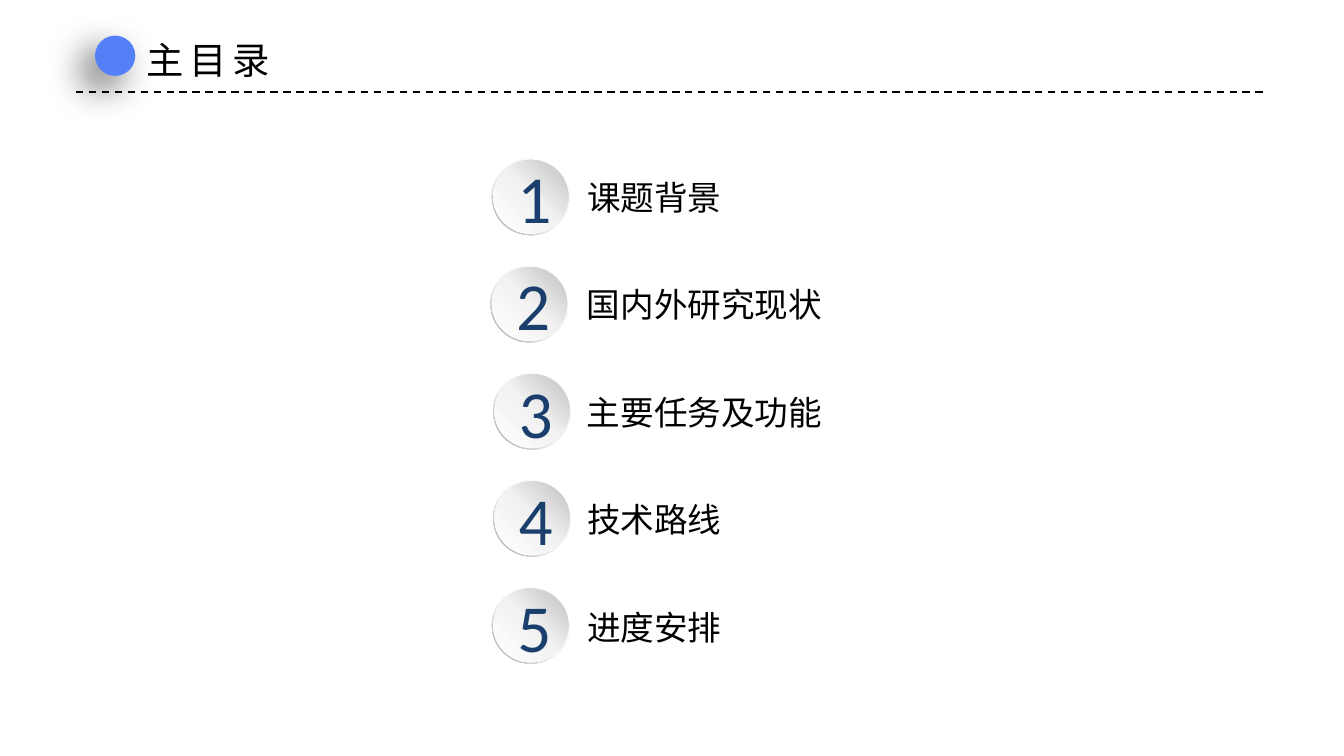
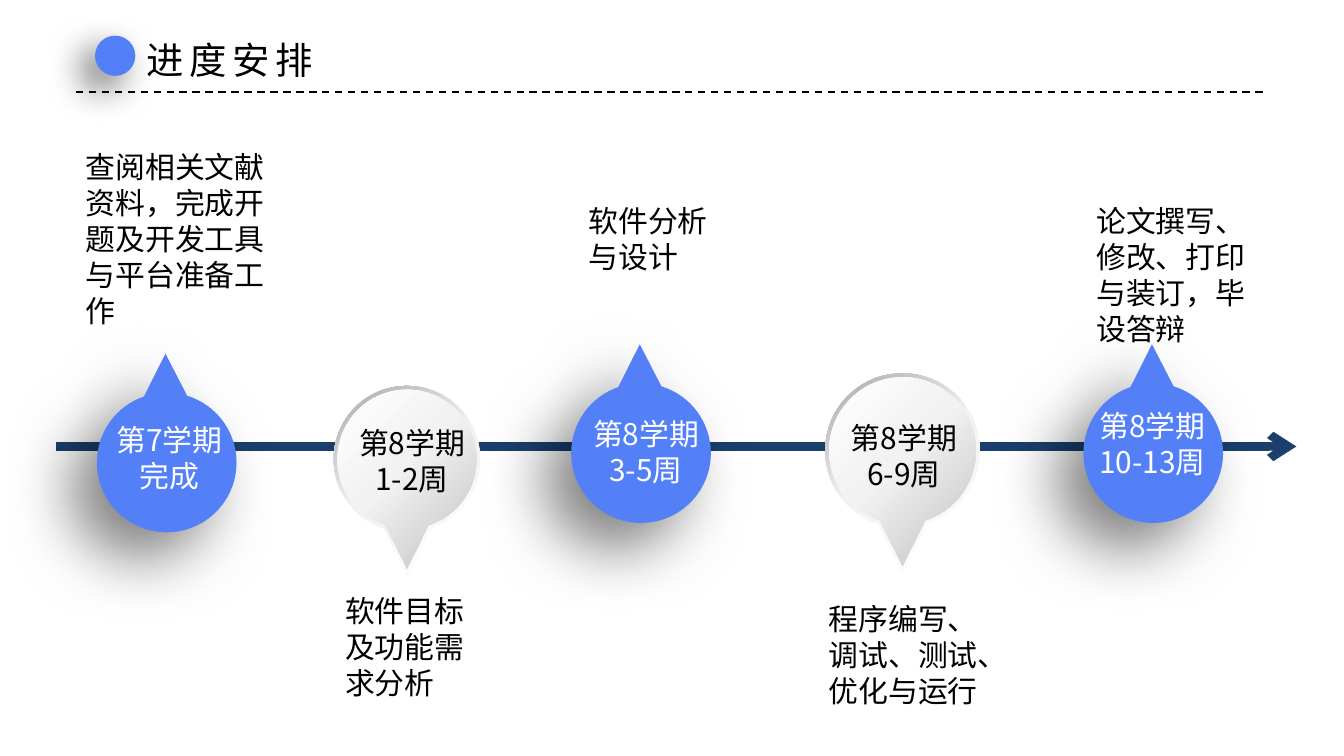
from dataclasses import dataclass
from math import cos, radians, sin, tan

from lxml.etree import Element, SubElement
from pptx import Presentation
from pptx.dml.color import RGBColor
from pptx.enum.dml import MSO_LINE
from pptx.enum.shapes import MSO_CONNECTOR, MSO_SHAPE
from pptx.enum.text import MSO_ANCHOR, MSO_AUTO_SIZE, PP_ALIGN
from pptx.oxml.ns import qn
from pptx.util import Pt


@dataclass(frozen=True)
class Theme:
    blue: str = "5380F7"
    navy: str = "1A3F6C"
    black: str = "000000"
    white: str = "FFFFFF"
    cjk: str = "Noto Sans CJK SC"
    latin: str = "Calibri"
    title: int = 20
    agenda: int = 18
    body: int = 16
    number: int = 36
    rim: tuple = ((0, "FFFFFF"), (55, "F2F2F2"), (100, "A6A6A6"))
    disc: tuple = ((0, "FFFFFF"), (51, "F2F2F2"), (100, "BFBFBF"))
    face: tuple = ((0, "FFFFFF"), (45, "F2F2F2"), (100, "BFBFBF"))
    dot_shadow: tuple = (60, 20, 10)
    pin_shadow: tuple = (50, 35, 20)


T = Theme()

AGENDA_TITLE = ("主目录", 84.2)
AGENDA = [
    ("课题背景", 263.5, 87.1),
    ("国内外研究现状", 262.8, 141.8),
    ("主要任务及功能", 264.2, 141.8),
    ("技术路线", 264.2, 87.1),
    ("进度安排", 263.5, 87.1),
]
AGENDA_TOP, AGENDA_PITCH = 85, 57.4
TOPIC_TOP, TOPIC_PITCH = 91.1, 57.6

PLAN_TITLE = ("进度安排", 107.3)
BLUE_PINS = [(89.3, 247.8), (343.4, 242.8), (617.8, 242.8)]
BLUE_RADIUS = 37.4
GREY_PINS = [(483.5, 241.4, 41.4), (218, 246, 39.2)]
TASKS = [
    ("程序编写、调试、测试、优化与运行", (437, 318.2, 94.3, 65.5)),
    ("查阅相关文献资料，完成开题及开发工具与平台准备工作", (38.9, 76.3, 118.8, 104.4)),
    ("论文撰写、修改、打印与装订，毕设答辩", (580.3, 105.1, 99.4, 85)),
    ("软件分析与设计", (308.2, 105, 88.6, 46.1)),
    ("软件目标及功能需求分析", (177.8, 313.9, 89.3, 65.5)),
]
PERIODS = [
    (["第7学期完成"], T.white, (51.1, 222.5, 79.2, 46.1)),
    (["第8学期1-2周"], T.black, (183.3, 224.1, 74.9, 46.1)),
    (["第8学期", "3-5周"], T.white, (308.6, 219.1, 74.9, 46.1)),
    (["第8学期6-9周"], T.black, (446.8, 221.5, 74.9, 46.1)),
    (["第8学期", "10-13周"], T.white, (576.4, 215, 82.1, 46.1)),
]


def rgb(code):
    return RGBColor.from_string(code)


def box(*lengths):
    return [Pt(v) for v in lengths]


def paint(sp, fill, angle=0, shadow=None):
    sp.shadow.inherit = False
    sp.line.fill.background()
    sp.fill.solid()
    spPr = sp._element.spPr
    if isinstance(fill, str):
        sp.fill.fore_color.rgb = rgb(fill)
    else:
        solid = spPr.find(qn("a:solidFill"))
        grad = SubElement(spPr, qn("a:gradFill"), rotWithShape="1")
        stops = SubElement(grad, qn("a:gsLst"))
        for pos, code in fill:
            gs = SubElement(stops, qn("a:gs"), pos=str(pos * 1000))
            SubElement(gs, qn("a:srgbClr"), val=code)
        SubElement(grad, qn("a:lin"), ang=str(angle * 60000), scaled="0")
        spPr.replace(solid, grad)
    if shadow:
        alpha, blur, dist = shadow
        outer = SubElement(spPr.find(qn("a:effectLst")), qn("a:outerShdw"),
                           blurRad=str(Pt(blur)), dist=str(Pt(dist)),
                           dir=str(135 * 60000), algn="tr", rotWithShape="0")
        clr = SubElement(outer, qn("a:srgbClr"), val=T.black)
        SubElement(clr, qn("a:alpha"), val=str(alpha * 1000))


def write(tf, lines, size, color, font=T.cjk, align=PP_ALIGN.LEFT, spacing=0):
    for i, line in enumerate(lines):
        p = tf.paragraphs[0] if i == 0 else tf.add_paragraph()
        p.text = line
        p.alignment = align
        for f in [p.font] + [r.font for r in p.runs]:
            f.size = Pt(size)
            f.name = font
            f.color.rgb = rgb(color)
        for rPr in p._p.iter(qn("a:defRPr"), qn("a:rPr")):
            SubElement(rPr, qn("a:ea"), typeface=font)
            if spacing:
                rPr.set("spc", str(spacing * 100))


def add_text(s, lines, at, size, color=T.black, wrap=True, **style):
    tf = s.shapes.add_textbox(*box(*at)).text_frame
    tf.word_wrap = wrap
    tf.auto_size = MSO_AUTO_SIZE.SHAPE_TO_FIT_TEXT
    write(tf, lines, size, color, **style)


def add_line(s, ends, color, width):
    c = s.shapes.add_connector(MSO_CONNECTOR.STRAIGHT, *box(*ends))
    c.line.color.rgb = rgb(color)
    c.line.width = Pt(width)
    SubElement(c._element.spPr, qn("a:effectLst"))
    return c


def add_header(s, title, width):
    rule = add_line(s, (40.6, 49.2, 679.4, 49.2), T.black, 1)
    rule.line.dash_style = MSO_LINE.DASH
    dot = s.shapes.add_shape(MSO_SHAPE.OVAL, *box(50.9, 19.1, 21.6, 21.6))
    paint(dot, T.blue, shadow=T.dot_shadow)
    add_text(s, [title], (71.3, 16.6, width, 31.7), T.title, wrap=False, spacing=3)


def add_badge(s, number, x, y):
    shapes = s.shapes.add_group_shape().shapes
    rim = shapes.add_shape(MSO_SHAPE.DONUT, *box(x, y, 41.8, 41))
    rim.adjustments[0] = 0.049
    paint(rim, T.rim, 135)
    disc = shapes.add_shape(MSO_SHAPE.OVAL, *box(x + 0.7, y + 0.7, 40.3, 39.6))
    paint(disc, T.disc, 315)
    disc.text_frame.vertical_anchor = MSO_ANCHOR.MIDDLE
    write(disc.text_frame, [str(number)], T.number, T.navy, T.latin, PP_ALIGN.CENTER)


def add_pin(shapes, cx, cy, radius, up, reach, lean=0):
    turn = -1 if up else 1
    angles = [radians(a) for a in (18 - lean, 90, 180, 270, 342 - lean)]

    def on_circle(a, pull=0):
        x = cx + radius * (sin(a) + pull * cos(a))
        y = cy + turn * radius * (cos(a) - pull * sin(a))
        return Pt(x), Pt(y)

    tip = Pt(cx - radius * sin(radians(lean))), Pt(cy + turn * reach * radius)
    fb = shapes.build_freeform(*tip)
    fb.add_line_segments([on_circle(a) for a in angles], close=True)
    sp = fb.convert_to_shape()
    sides = list(sp._element.iter(qn("a:lnTo")))[1:5]
    for side, a, b in zip(sides, angles, angles[1:]):
        pull = 4 / 3 * tan((b - a) / 4)
        curve = Element(qn("a:cubicBezTo"))
        for x, y in (on_circle(a, pull), on_circle(b, -pull), on_circle(b)):
            SubElement(curve, qn("a:pt"), x=str(x - sp.left), y=str(y - sp.top))
        side.getparent().replace(side, curve)
    return sp


def build_agenda(s):
    add_header(s, *AGENDA_TITLE)
    for i, (topic, x, width) in enumerate(AGENDA):
        add_badge(s, i + 1, x, AGENDA_TOP + i * AGENDA_PITCH)
        at = (307.4, TOPIC_TOP + i * TOPIC_PITCH, width, 28.8)
        add_text(s, [topic], at, T.agenda, wrap=False)


def build_plan(s):
    add_header(s, *PLAN_TITLE)
    axis = add_line(s, (30.2, 239.2, 694.5, 239.2), T.navy, 4.5)
    SubElement(axis._element.spPr.find(qn("a:ln")), qn("a:tailEnd"), type="arrow")
    for cx, cy in BLUE_PINS:
        pin = add_pin(s.shapes, cx, cy, BLUE_RADIUS, True, 1.56, 1)
        paint(pin, T.blue, shadow=T.pin_shadow)
    for cx, cy, radius in GREY_PINS:
        shapes = s.shapes.add_group_shape().shapes
        paint(add_pin(shapes, cx, cy, radius, False, 1.6), T.rim, 235)
        paint(add_pin(shapes, cx, cy, radius * 0.95, False, 1.57), T.face, 45)
    for task, at in TASKS:
        add_text(s, [task], at, T.body)
    for lines, color, at in PERIODS:
        add_text(s, lines, at, T.body, color, align=PP_ALIGN.CENTER)


def main():
    prs = Presentation()
    prs.slide_width, prs.slide_height = box(720, 405)
    for build in (build_agenda, build_plan):
        build(prs.slides.add_slide(prs.slide_layouts[6]))
    prs.save("out.pptx")


if __name__ == "__main__":
    main()
